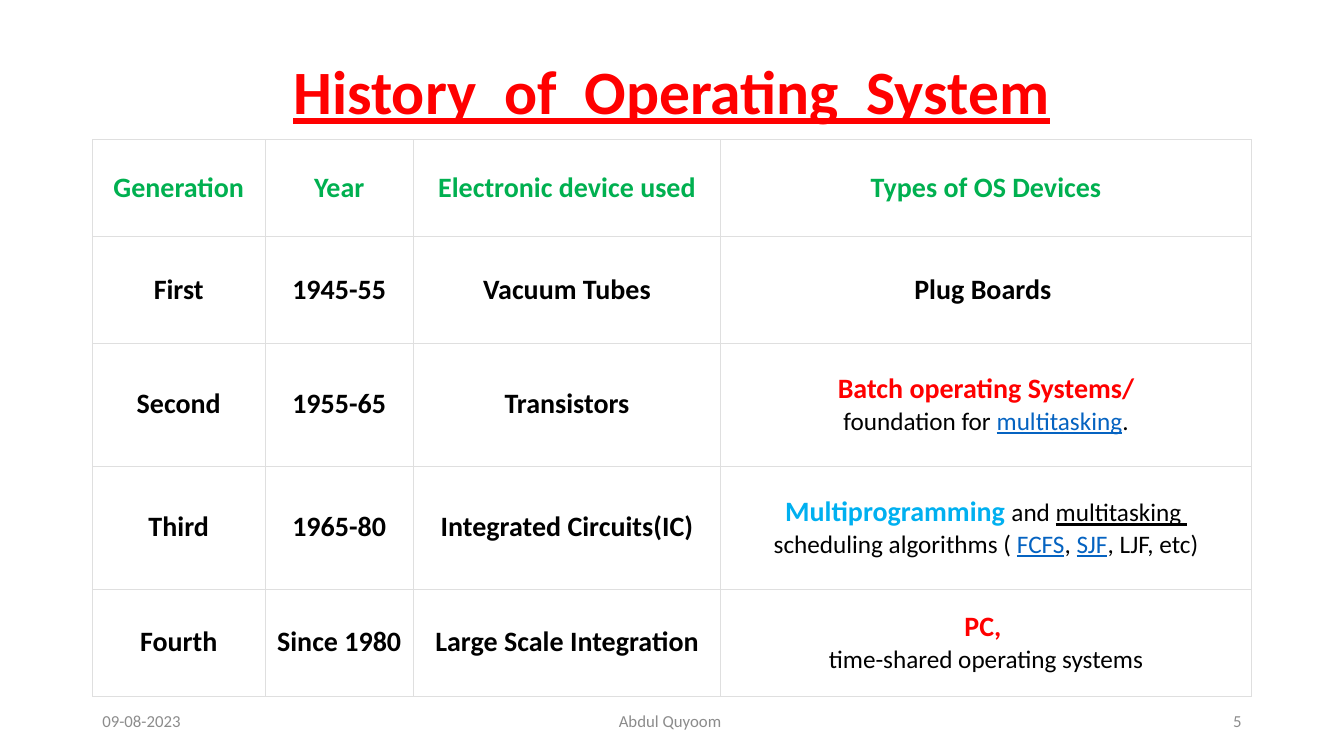
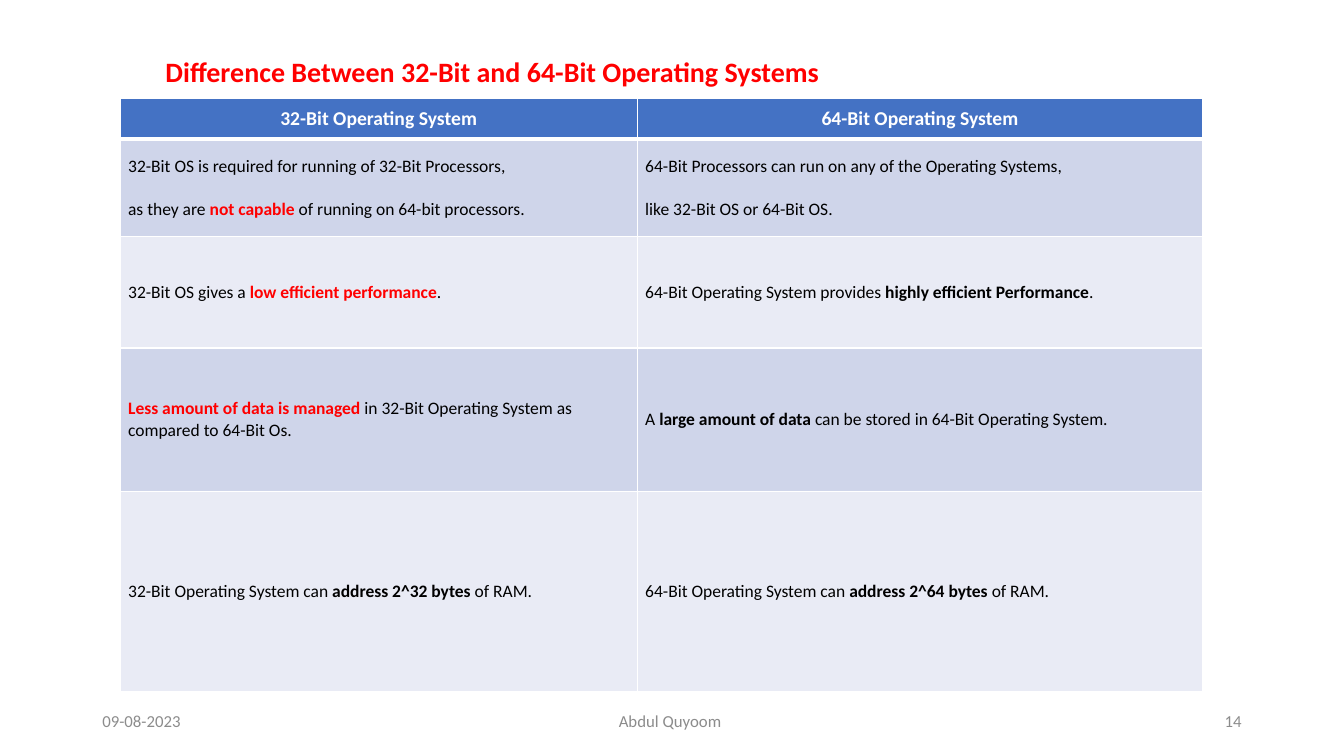
from dataclasses import dataclass
from typing import NamedTuple

from lxml.etree import SubElement
from pptx import Presentation
from pptx.dml.color import RGBColor
from pptx.enum.text import MSO_ANCHOR as Anchor, MSO_AUTO_SIZE as AutoSize, PP_ALIGN as Align
from pptx.oxml.ns import qn
from pptx.util import Cm, Pt


# Theme
@dataclass(frozen=True)
class Theme:
    font: str = "Calibri"
    white: str = "FFFFFF"
    black: str = "000000"
    red: str = "FF0000"
    green: str = "00B050"
    sky: str = "00B0F0"
    link: str = "0563C1"
    grey: str = "8C8C8C"
    grid: str = "DFDFDF"
    header: str = "4472C4"
    band_dark: str = "CFD5EA"
    band_light: str = "E9EBF5"
    title_size: float = 44
    subtitle_size: float = 20
    history_size: float = 20
    detail_size: float = 18
    header_size: float = 14
    compare_size: float = 12.5
    footer_size: float = 12


THEME = Theme()


class Look(NamedTuple):
    size: float
    color: str = THEME.black
    bold: bool = False
    underline: bool = False


class Span(NamedTuple):
    text: str
    look: Look


Line = list[Span]
Cell = list[Line]


class TableStyle(NamedTuple):
    header_fill: str
    band_fills: tuple[str, str]
    border: str
    border_width: float
    header_rule: float
    align: Align
    line_gap: float


class TableBox(NamedTuple):
    left: float
    top: float
    columns: list[float]
    rows: list[float]


class FooterPart(NamedTuple):
    left: float
    width: float
    align: Align


# Shared footer places, in centimetres
FOOTER_TOP, FOOTER_HEIGHT = 17.65, 1.02
FOOTER_PARTS = [
    FooterPart(2.33, 7.62, Align.LEFT),
    FooterPart(11.22, 11.43, Align.CENTER),
    FooterPart(23.92, 7.62, Align.RIGHT),
]


# Text helpers
def format_run(run, look: Look) -> None:
    font = run.font
    font.name, font.size = THEME.font, Pt(look.size)
    font.bold, font.underline = look.bold, look.underline
    font.color.rgb = RGBColor.from_string(look.color)


def set_text(frame, text: str, look: Look, align: Align) -> None:
    frame.text = text
    frame.word_wrap = True
    frame.vertical_anchor = Anchor.MIDDLE
    paragraph = frame.paragraphs[0]
    paragraph.alignment = align
    format_run(paragraph.runs[0], look)


def add_title(slide, text: str, look: Look, height: float, align: Align, indent: float) -> None:
    title = slide.shapes.title
    title.left, title.top, title.width, title.height = Cm(2.33), Cm(1.01), Cm(29.21), Cm(height)
    frame = title.text_frame
    set_text(frame, text, look, align)
    frame.auto_size = AutoSize.NONE
    frame.margin_left = Cm(indent)
    frame.paragraphs[0].line_spacing = 0.9


def add_footer(slide, number: int) -> None:
    look = Look(THEME.footer_size, THEME.grey)
    for part, text in zip(FOOTER_PARTS, ("09-08-2023", "Abdul Quyoom ", str(number))):
        box = slide.shapes.add_textbox(Cm(part.left), Cm(FOOTER_TOP), Cm(part.width), Cm(FOOTER_HEIGHT))
        set_text(box.text_frame, text, look, part.align)


# Table helpers
def set_borders(cell, color: str, widths: dict[str, float]) -> None:
    properties = cell._tc.get_or_add_tcPr()
    for side in ("L", "R", "T", "B"):
        line = SubElement(properties, qn(f"a:ln{side}"), w=str(Pt(widths[side])))
        SubElement(SubElement(line, qn("a:solidFill")), qn("a:srgbClr"), val=color)


def fill_cell(cell, lines: Cell, align: Align, line_gap: float) -> None:
    frame = cell.text_frame
    for index, spans in enumerate(lines):
        paragraph = frame.add_paragraph() if index else frame.paragraphs[0]
        paragraph.alignment = align
        if index:
            paragraph.space_before = Pt(line_gap)
        for span in spans:
            run = paragraph.add_run()
            run.text = span.text
            format_run(run, span.look)


def add_grid(slide, box: TableBox, style: TableStyle, content: list[list[Cell]]) -> None:
    frame = slide.shapes.add_table(len(box.rows), len(box.columns), Cm(box.left), Cm(box.top),
                                   Cm(sum(box.columns)), Cm(sum(box.rows)))
    table = frame.table
    table.first_row = table.horz_banding = False
    for column, width in zip(table.columns, box.columns):
        column.width = Cm(width)
    for row, height in zip(table.rows, box.rows):
        row.height = Cm(height)
    for row_index, row in enumerate(content):
        is_header = row_index == 0
        widths = dict.fromkeys("LRTB", style.border_width)
        if row_index < 2:
            widths["B" if is_header else "T"] = style.header_rule
        for column_index, lines in enumerate(row):
            cell = table.cell(row_index, column_index)
            set_borders(cell, style.border, widths)
            cell.fill.solid()
            fill = style.header_fill if is_header else style.band_fills[(row_index - 1) % 2]
            cell.fill.fore_color.rgb = RGBColor.from_string(fill)
            cell.vertical_anchor = Anchor.MIDDLE
            cell.margin_left = cell.margin_right = Cm(0.1 if is_header and column_index == 0 else 0.2)
            cell.margin_top = cell.margin_bottom = Cm(0.2 if is_header else 0.3)
            fill_cell(cell, lines, Align.CENTER if is_header else style.align, style.line_gap)


def plain_cells(look: Look, *texts: str) -> list[Cell]:
    return [[[Span(text, look)]] for text in texts]


# Slide: history of operating systems
def build_history(slide) -> None:
    add_title(slide, "History  of  Operating  System",
              Look(THEME.title_size, THEME.red, True, True), 2.74, Align.CENTER, 0.25)
    size = THEME.history_size
    header, strong = Look(size, THEME.green, True), Look(size, bold=True)
    red, sky = Look(size, THEME.red, True), Look(size, THEME.sky, True)
    detail = Look(THEME.detail_size)
    underlined = detail._replace(underline=True)
    link = underlined._replace(color=THEME.link)

    batch = [[Span("Batch operating Systems/", red)],
             [Span("foundation for ", detail), Span("multitasking", link), Span(".", detail)]]
    multiprogramming = [
        [Span("Multiprogramming ", sky), Span("and ", detail), Span("multitasking ", underlined)],
        [Span("scheduling algorithms ( ", detail), Span("FCFS", link), Span(", ", detail),
         Span("SJF", link), Span(", LJF, etc)", detail)],
    ]
    personal = [[Span("PC, ", red)], [Span("time-shared operating systems", detail)]]
    generations = [
        plain_cells(header, "Generation", "Year", "Electronic device used", "Types of OS Devices"),
        plain_cells(strong, "First", "1945-55", "Vacuum Tubes", "Plug Boards "),
        plain_cells(strong, "Second", "1955-65", "Transistors") + [batch],
        plain_cells(strong, "Third", "1965-80", "Integrated Circuits(IC)") + [multiprogramming],
        plain_cells(strong, "Fourth", "Since 1980", "Large Scale Integration") + [personal],
    ]
    style = TableStyle(THEME.white, (THEME.white, THEME.white), THEME.grid, 0.18, 0.18, Align.CENTER, 0)
    box = TableBox(2.33, 3.51, [4.35, 3.74, 7.74, 13.38], [2.44, 2.69, 3.1, 3.1, 2.69])
    add_grid(slide, box, style, generations)


# Slide: 32-bit against 64-bit
def build_comparison(slide) -> None:
    add_title(slide, "Difference Between 32-Bit and 64-Bit Operating Systems",
              Look(THEME.subtitle_size, THEME.red, True), 1.7, Align.LEFT, 1.84)
    header = Look(THEME.header_size, THEME.white, True)
    body = Look(THEME.compare_size)
    strong = body._replace(bold=True)
    alert = strong._replace(color=THEME.red)

    def sentence(before: str, key: str, after: str, look: Look = strong) -> Line:
        parts = [Span(before, body), Span(key, look), Span(after, body)]
        return [part for part in parts if part.text]

    differences = [
        plain_cells(header, "32-Bit Operating System", "64-Bit Operating System"),
        [[[Span("32-Bit OS is required for running of 32-Bit Processors,", body)],
          sentence("as they are ", "not capable", " of running on 64-bit processors. ", alert)],
         [[Span("64-Bit Processors can run on any of the Operating Systems,", body)],
          [Span("like 32-Bit OS or 64-Bit OS.", body)]]],
        [[sentence("32-Bit OS gives a ", "low efficient performance", ".", alert)],
         [sentence("64-Bit Operating System provides ", "highly efficient Performance", ".")]],
        [[sentence("", "Less amount of data is managed ",
                   "in 32-Bit Operating System as compared to 64-Bit Os.", alert)],
         [sentence("A ", "large amount of data ", "can be stored in 64-Bit Operating System.")]],
        [[sentence(f"{bits}-Bit Operating System can ", f"address 2^{bits} bytes ", "of RAM.")]
         for bits in (32, 64)],
    ]
    style = TableStyle(THEME.header, (THEME.band_dark, THEME.band_light), THEME.white, 1, 3,
                       Align.LEFT, 15.25)
    box = TableBox(3.03, 2.49, [13.03, 14.25], [1.02, 2.44, 2.82, 3.61, 5.06])
    add_grid(slide, box, style, differences)


def main() -> None:
    deck = Presentation()
    deck.slide_width, deck.slide_height = Cm(33.87), Cm(19.05)
    title_only = deck.slide_layouts[5]
    for build, number in ((build_history, 5), (build_comparison, 14)):
        slide = deck.slides.add_slide(title_only)
        build(slide)
        add_footer(slide, number)
    deck.save("out.pptx")


if __name__ == "__main__":
    main()
